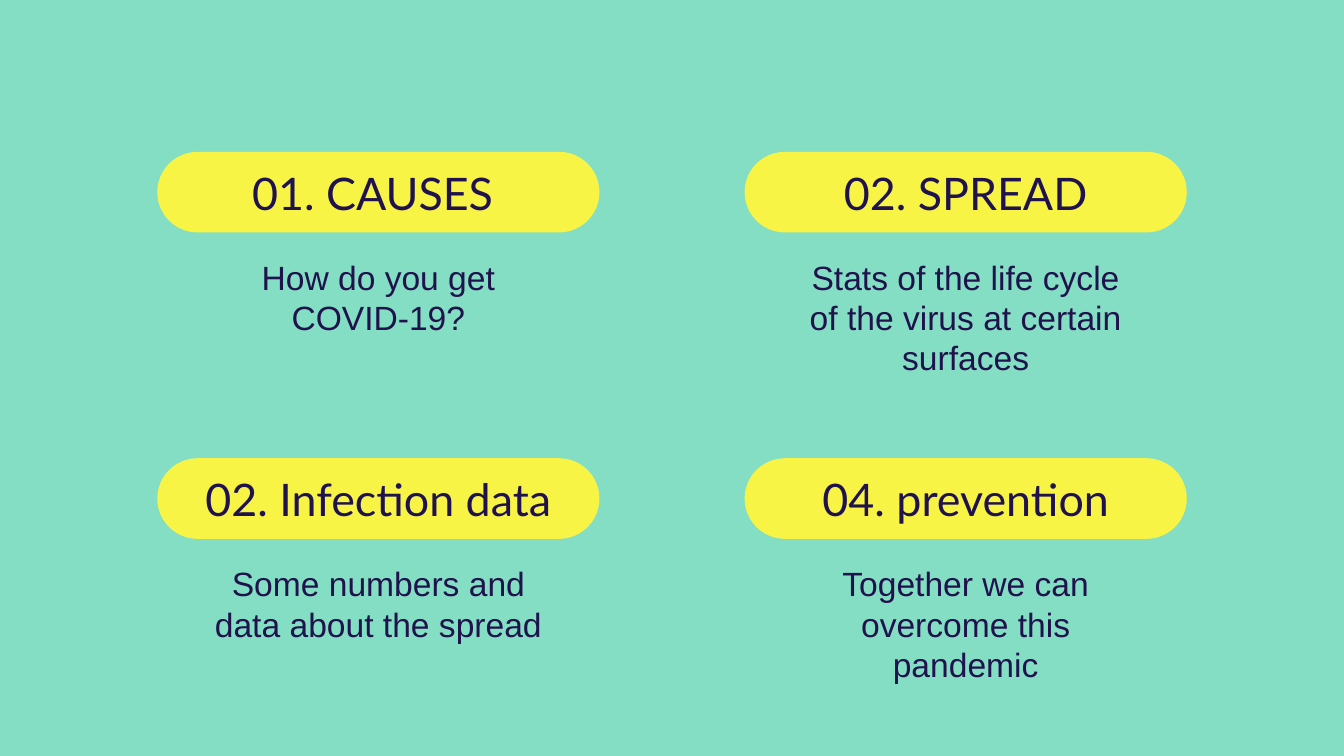
from pptx import Presentation
from pptx.dml.color import RGBColor
from pptx.enum.shapes import MSO_SHAPE
from pptx.enum.text import MSO_ANCHOR, PP_ALIGN
from pptx.util import Inches, Pt

MINT = RGBColor(0x84, 0xDE, 0xC3)
YELLOW = RGBColor(0xF8, 0xF4, 0x46)
NAVY = RGBColor(0x20, 0x12, 0x4D)

LEFT, TOP = 1.17, 1.13
WIDTH, PILL = 3.29, 0.6
STEP_X, STEP_Y = 4.37, 2.28
COLS = 2

TOPICS = [
    ("01. CAUSES ", "How do you get COVID-19?"),
    ("02. SPREAD", "Stats of the life cycle of the virus at certain surfaces"),
    ("02. Infection data", "Some numbers and data about the spread"),
    ("04. prevention", "Together we can overcome this pandemic"),
]


def add_text(slide, box, text, font, size, anchor):
    frame = slide.shapes.add_textbox(*map(Inches, box)).text_frame
    frame.word_wrap = True
    frame.vertical_anchor = anchor
    frame.margin_left = frame.margin_right = Inches(0.1)
    frame.margin_top = frame.margin_bottom = Inches(0.1)
    para = frame.paragraphs[0]
    para.text = text
    para.alignment = PP_ALIGN.CENTER
    para.font.name = font
    para.font.size = Pt(size)
    para.font.color.rgb = NAVY


def add_topic(slide, left, top, width, title, detail):
    """Place a pill with its title, and the detail centred below it."""
    pill = slide.shapes.add_shape(
        MSO_SHAPE.ROUNDED_RECTANGLE,
        Inches(left), Inches(top), Inches(width), Inches(PILL))
    pill.adjustments[0] = 0.5
    pill.shadow.inherit = False
    pill.fill.solid()
    pill.fill.fore_color.rgb = YELLOW
    pill.line.fill.background()

    add_text(slide, (left + 0.19, top + 0.06, width - 0.38, 0.48),
             title, "Lato", 24, MSO_ANCHOR.MIDDLE)
    add_text(slide, (left + 0.27, top + 0.68, width - 0.54, 0.64),
             detail, "Arial", 18, MSO_ANCHOR.TOP)


def main():
    deck = Presentation()
    deck.slide_width = Inches(10)
    deck.slide_height = deck.slide_width * 9 // 16
    slide = deck.slides.add_slide(deck.slide_layouts[6])
    slide.background.fill.solid()
    slide.background.fill.fore_color.rgb = MINT

    for i, (title, detail) in enumerate(TOPICS):
        row, col = divmod(i, COLS)
        add_topic(slide, LEFT + col * STEP_X, TOP + row * STEP_Y, WIDTH,
                  title, detail)
    deck.save("out.pptx")


if __name__ == "__main__":
    main()
